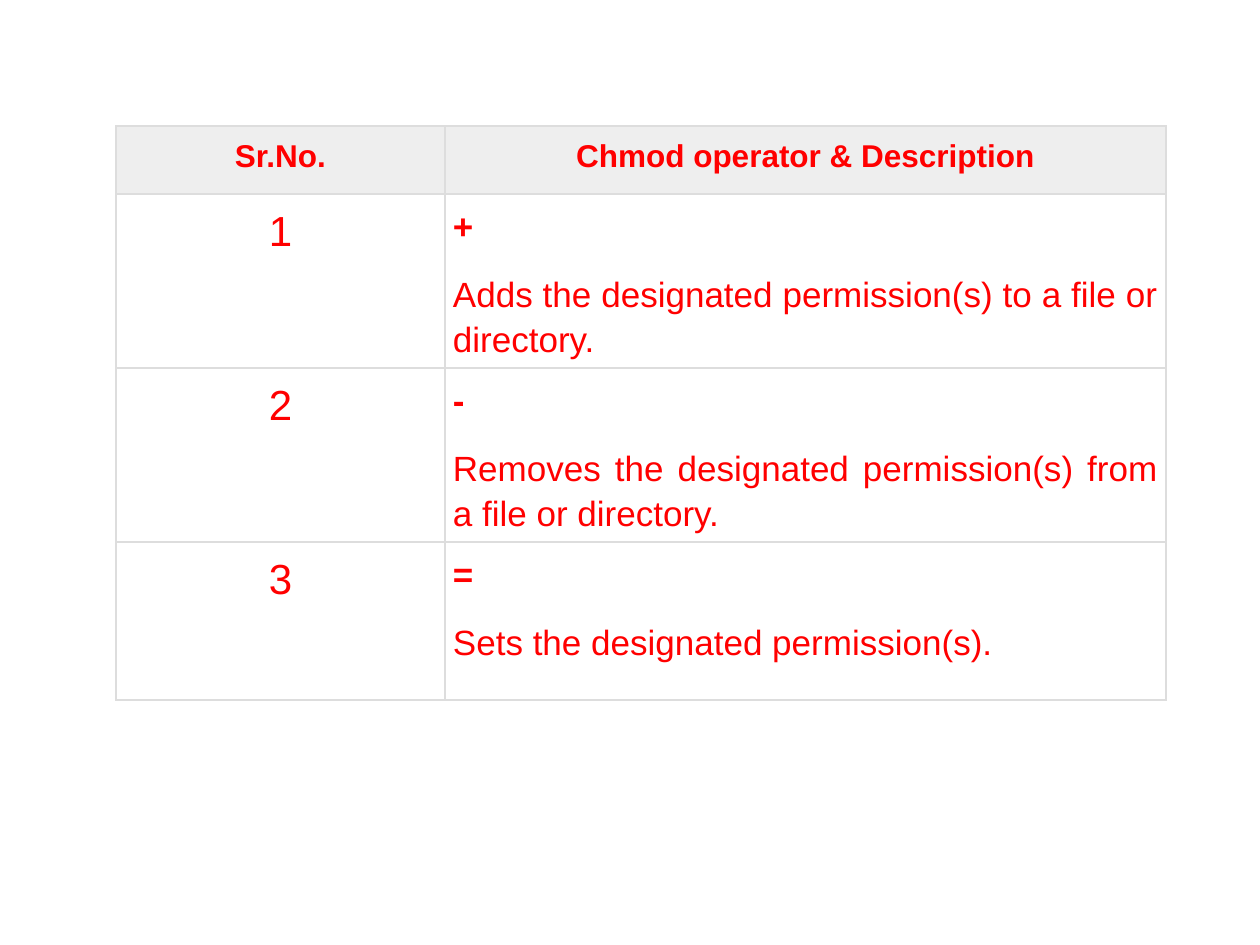
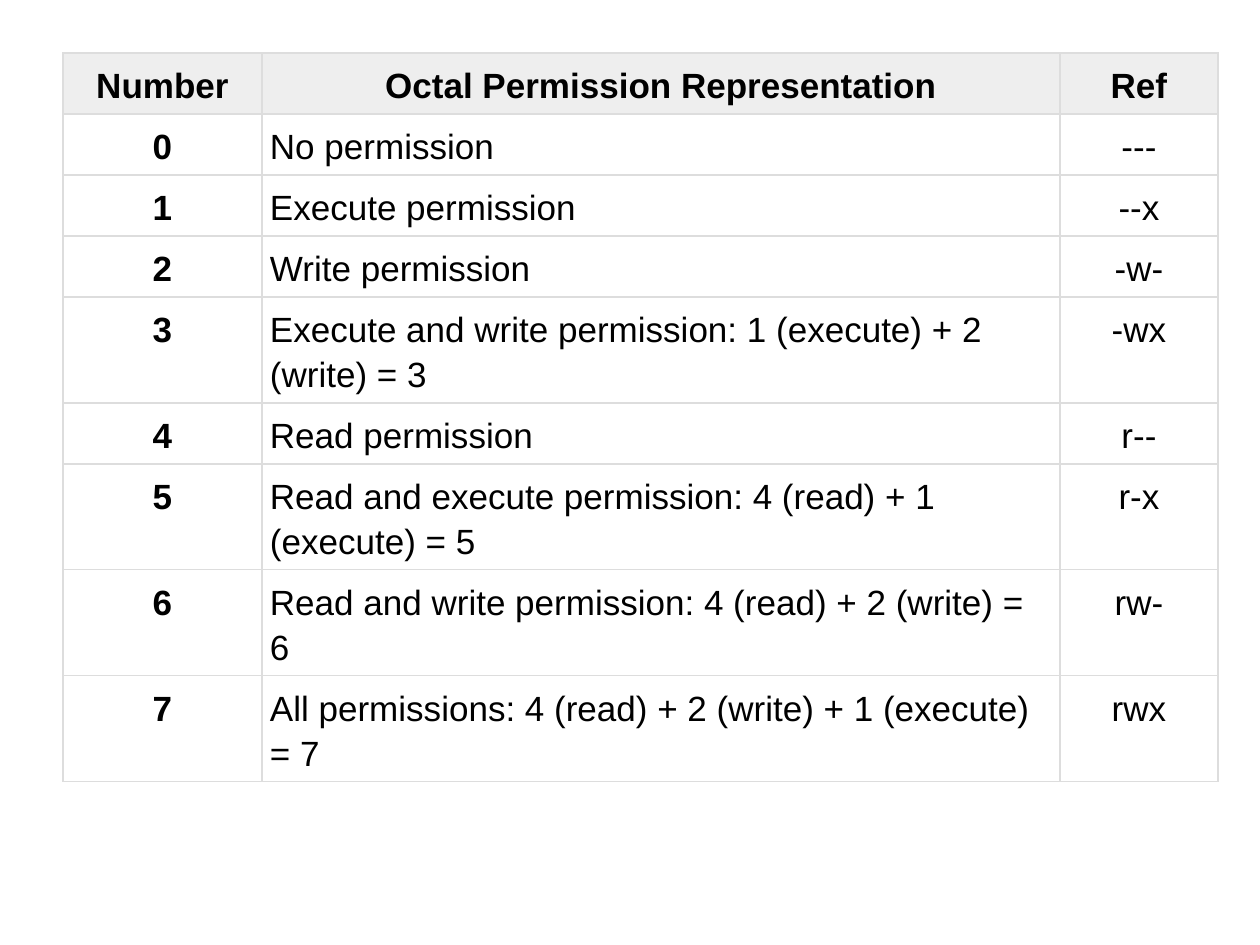
"""Build two slides of tables on chmod operators and octal permissions."""
from lxml import etree
from pptx import Presentation, util as u
from pptx.dml.color import RGBColor
from pptx.enum.text import PP_ALIGN
from pptx.oxml.ns import qn

PX = 914400 // 126
FONT = "Arial"
HEADER_FILL, BORDER = "EEEEEE", "DDDDDD"
CELL_MARGIN = 8
LINE_SPACING = 1.15
SPACE_BEFORE, SPACE_AFTER = 6, 7.2
CENTER, LEFT, JUSTIFY = PP_ALIGN.CENTER, PP_ALIGN.LEFT, PP_ALIGN.JUSTIFY

OPERATORS = {
    "at": (116, 126),
    "widths": (329, 721),
    "heights": (68, 174, 174, 158),
    "color": "FF0000",
    "header_size": 18,
    "columns": [
        {"align": CENTER, "size": 24, "bold": [False]},
        {"align": JUSTIFY, "size": 20, "bold": [True, False]},
    ],
    "header": ["Sr.No.", "Chmod operator & Description"],
    "rows": [
        (["1"], ["+", "Adds the designated permission(s) to a file or directory."]),
        (["2"], ["-", "Removes the designated permission(s) from a file or directory."]),
        (["3"], ["=", "Sets the designated permission(s)."]),
    ],
}

OCTAL = {
    "at": (63, 53),
    "widths": (199, 798, 158),
    "heights": (61, 61, 61, 61, 106, 61, 106, 106, 106),
    "color": "000000",
    "header_size": 20,
    "columns": [
        {"align": CENTER, "size": 20, "bold": [True]},
        {"align": LEFT, "size": 20, "bold": [False]},
        {"align": CENTER, "size": 20, "bold": [False]},
    ],
    "header": ["Number", "Octal Permission Representation", "Ref"],
    "rows": [
        (["0"], ["No permission"], ["---"]),
        (["1"], ["Execute permission"], ["--x"]),
        (["2"], ["Write permission"], ["-w-"]),
        (["3"], ["Execute and write permission: 1 (execute) + 2 (write) = 3"], ["-wx"]),
        (["4"], ["Read permission"], ["r--"]),
        (["5"], ["Read and execute permission: 4 (read) + 1 (execute) = 5"], ["r-x"]),
        (["6"], ["Read and write permission: 4 (read) + 2 (write) = 6"], ["rw-"]),
        (["7"], ["All permissions: 4 (read) + 2 (write) + 1 (execute) = 7"], ["rwx"]),
    ],
}


def rgb(value):
    return RGBColor.from_string(value)


def add_borders(cell):
    properties = cell._tc.get_or_add_tcPr()
    for index, side in enumerate(("lnL", "lnR", "lnT", "lnB")):
        line = etree.Element(qn(f"a:{side}"), w=str(u.Pt(1)))
        fill = etree.SubElement(line, qn("a:solidFill"))
        etree.SubElement(fill, qn("a:srgbClr"), val=BORDER)
        properties.insert(index, line)


def style_cell(cell, fill):
    cell.margin_left = cell.margin_right = CELL_MARGIN * PX
    cell.margin_top = cell.margin_bottom = CELL_MARGIN * PX
    if fill:
        cell.fill.solid()
        cell.fill.fore_color.rgb = rgb(fill)
    else:
        cell.fill.background()
    add_borders(cell)


def write_cell(cell, lines, style, color):
    frame = cell.text_frame
    for index, (line, bold) in enumerate(zip(lines, style["bold"])):
        para = frame.add_paragraph() if index else frame.paragraphs[0]
        para.alignment = style["align"]
        para.line_spacing = LINE_SPACING
        if index:
            para.space_before = u.Pt(SPACE_BEFORE)
        if len(lines) > 1:
            para.space_after = u.Pt(SPACE_AFTER)
        span = para.add_run()
        span.text = line
        span.font.name = FONT
        span.font.size = u.Pt(style["size"])
        span.font.bold = bold
        span.font.color.rgb = rgb(color)


def add_table_page(deck, content):
    page = deck.slides.add_slide(deck.slide_layouts[6])
    widths, heights = content["widths"], content["heights"]
    left, top = content["at"]
    table = page.shapes.add_table(
        len(heights), len(widths), left * PX, top * PX,
        sum(widths) * PX, sum(heights) * PX).table
    table.first_row = table.horz_banding = False
    for column, width in zip(table.columns, widths):
        column.width = width * PX
    for row, height in zip(table.rows, heights):
        row.height = height * PX

    header_style = {"align": CENTER, "size": content["header_size"], "bold": [True]}
    for index, title in enumerate(content["header"]):
        cell = table.cell(0, index)
        style_cell(cell, HEADER_FILL)
        write_cell(cell, [title], header_style, content["color"])
    for number, row in enumerate(content["rows"], 1):
        for index, (lines, style) in enumerate(zip(row, content["columns"])):
            cell = table.cell(number, index)
            style_cell(cell, None)
            write_cell(cell, lines, style, content["color"])


def main():
    deck = Presentation()
    deck.slide_width, deck.slide_height = u.Inches(10), u.Inches(7.5)
    for content in (OPERATORS, OCTAL):
        add_table_page(deck, content)
    deck.save("out.pptx")


if __name__ == "__main__":
    main()
